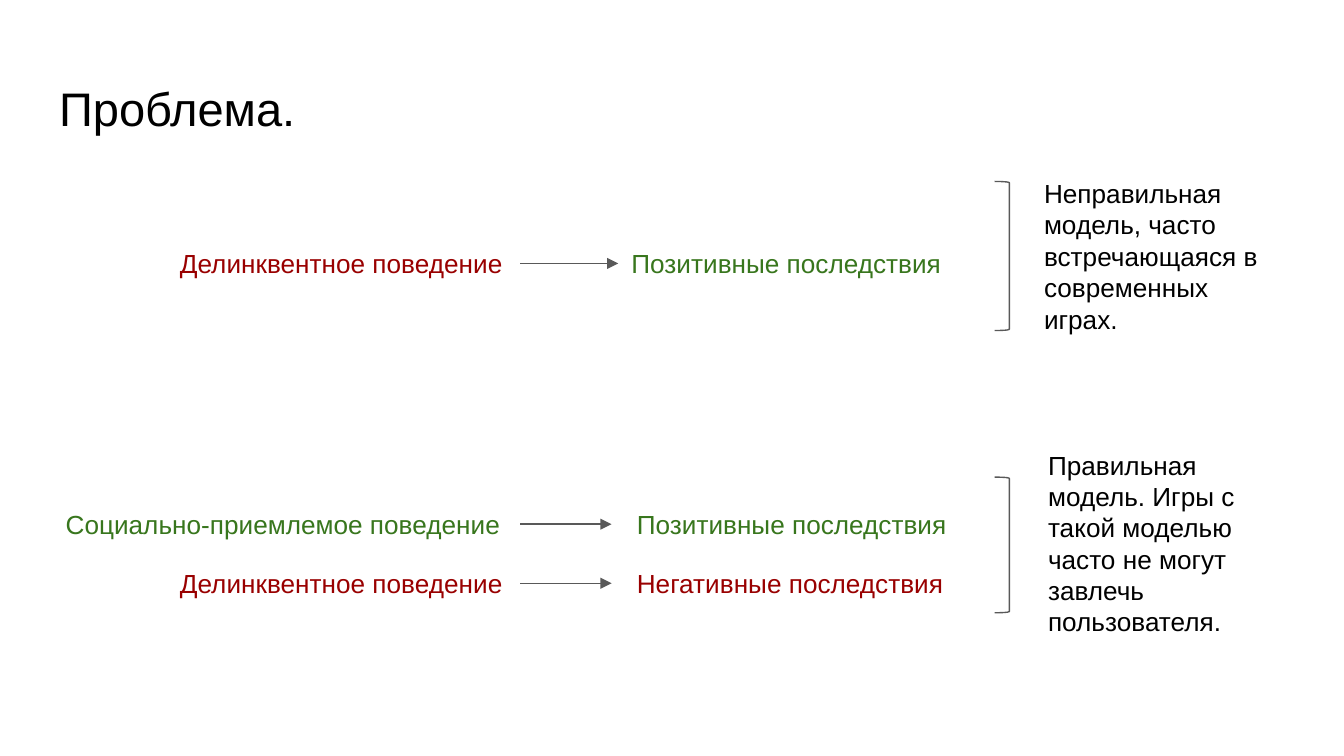
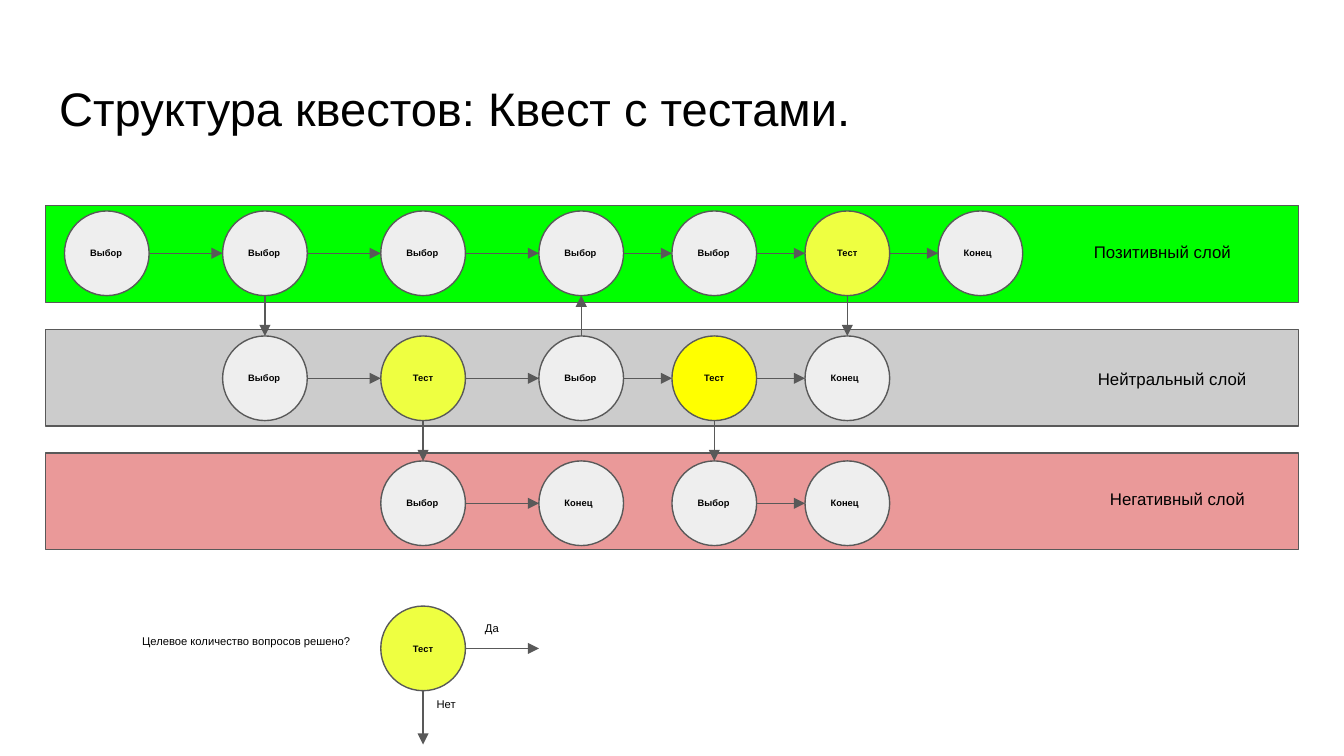
from lxml import etree
from pptx import Presentation
from pptx.dml.color import RGBColor
from pptx.enum import shapes, text
from pptx.oxml import ns
from pptx.util import Inches, Pt

FONT = "Arial"
COLORS = {
    "text": "000000", "line": "595959", "bad": "990000", "good": "38761D",
    "positive": "00FF00", "neutral": "CCCCCC", "negative": "EA9999",
    "node": "EEEEEE", "test": "EEFF41", "bright test": "FFFF00",
}

PROBLEM_TITLE = "Проблема."
BEHAVIOURS = [
    ("Делинквентное поведение", "bad", 1.24, 1.74, 2.63),
    ("Социально-приемлемое поведение", "good", 0.39, 3.68, 3.51),
    ("Делинквентное поведение", "bad", 1.24, 4.12, 2.63),
]
CONSEQUENCES = [
    ("Позитивные последствия", "good", 4.6, 1.74, 4.6),
    ("Позитивные последствия", "good", 4.64, 3.68, 4.55),
    ("Негативные последствия", "bad", 4.64, 4.12, 4.55),
]
MODELS = [
    ("Неправильная модель, часто встречающаяся в современных играх.",
     (7.67, 1.22, 2, 1.38), (7.4, 1.35, 0.11, 1.11)),
    ("Правильная модель. Игры с такой моделью часто не могут завлечь пользователя.",
     (7.7, 3.24, 2, 1.62), (7.4, 3.55, 0.11, 1.01)),
]

QUEST_TITLE = "Структура квестов: Квест с тестами."
CHOICE, TEST, END = "Выбор", "Тест", "Конец"
LAYERS = [
    ("Позитивный слой", "positive", (8.04, 1.72), 0,
     [CHOICE, CHOICE, CHOICE, CHOICE, CHOICE, TEST, END]),
    ("Нейтральный слой", "neutral", (8.07, 2.67), 1,
     [CHOICE, TEST, CHOICE, TEST, END]),
    ("Негативный слой", "negative", (8.16, 3.56), 2,
     [CHOICE, END, CHOICE, END]),
]
LAYER_CHANGES = [(1, 0, 1), (5, 0, 1), (2, 1, 2), (4, 1, 2), (3, 1, 0)]
BRIGHT_TEST = (1, 4)
LEGEND = [
    ("Целевое количество вопросов решено?", (0.96, 4.67, 1.83, 0.3)),
    ("Да", (3.51, 4.57, 0.31, 0.3)),
    ("Нет", (3.15, 5.14, 0.41, 0.3)),
]

NODE_SIZE = 0.63
COLUMNS = [0.48 + 3.53 * i / 3 for i in range(4)] + [5 + 0.99 * i for i in range(3)]
ROWS = [1.57 + 0.93 * i for i in range(3)]
LEGEND_TOP = 4.51


def color(name):
    return RGBColor.from_string(COLORS[name])


def inches(box):
    return [Inches(length) for length in box]


def write(shape, content, size, ink="text", bold=False, centered=False, middle=False):
    frame = shape.text_frame
    frame.word_wrap = True
    frame.margin_left = frame.margin_right = Inches(0.1)
    frame.margin_top = frame.margin_bottom = Inches(0.1)
    frame.vertical_anchor = text.MSO_ANCHOR.MIDDLE if middle else text.MSO_ANCHOR.TOP
    paragraph = frame.paragraphs[0]
    paragraph.alignment = text.PP_ALIGN.CENTER if centered else text.PP_ALIGN.LEFT
    run = paragraph.add_run()
    run.text = content
    run.font.name = FONT
    run.font.size = Pt(size)
    run.font.bold = bold
    run.font.color.rgb = color(ink)


def add_titled_slide(presentation, title):
    slide = presentation.slides.add_slide(presentation.slide_layouts[5])
    shape = slide.shapes.title
    shape.left, shape.top, shape.width, shape.height = inches((0.34, 0.49, 9.32, 0.63))
    write(shape, title, 25.2)
    shape.text_frame.auto_size = text.MSO_AUTO_SIZE.NONE
    return slide


def add_label(slide, content, box, size, ink="text"):
    shape = slide.shapes.add_textbox(*inches(box))
    write(shape, content, size, ink)
    shape.text_frame.auto_size = text.MSO_AUTO_SIZE.SHAPE_TO_FIT_TEXT


def add_outlined(slide, kind, box, fill=None):
    shape = slide.shapes.add_shape(kind, *inches(box))
    shape.shadow.inherit = False
    if fill:
        shape.fill.solid()
        shape.fill.fore_color.rgb = color(fill)
    else:
        shape.fill.background()
    shape.line.color.rgb = color("line")
    shape.line.width = Pt(0.75)
    return shape


def add_arrow(slide, start, end):
    connector = slide.shapes.add_connector(
        shapes.MSO_CONNECTOR.STRAIGHT, *inches((*start, *end)))
    connector.line.color.rgb = color("line")
    connector.line.width = Pt(0.75)
    properties = connector._element.spPr
    line = properties.find(ns.qn("a:ln"))
    etree.SubElement(line, ns.qn("a:tailEnd"), type="triangle")
    etree.SubElement(properties, ns.qn("a:effectLst"))


def add_node(slide, name, left, top, fill):
    box = (left, top, NODE_SIZE, NODE_SIZE)
    shape = add_outlined(slide, shapes.MSO_SHAPE.OVAL, box, fill)
    write(shape, name, 5, bold=True, centered=name == TEST, middle=True)


def build_problem(presentation):
    slide = add_titled_slide(presentation, PROBLEM_TITLE)
    for behaviour, consequence in zip(BEHAVIOURS, CONSEQUENCES):
        content, ink, left, top, width = behaviour
        add_label(slide, content, (left, top, width, 0.44), 14, ink)
        content, ink, left, top, arrow_end = consequence
        add_label(slide, content, (left, top, 2.63, 0.44), 14, ink)
        add_arrow(slide, (3.87, top + 0.22), (arrow_end, top + 0.22))
    for content, box, bracket_box in MODELS:
        bracket = add_outlined(slide, shapes.MSO_SHAPE.RIGHT_BRACKET, bracket_box)
        bracket.adjustments[0] = 0.08
        add_label(slide, content, box, 14)


def build_quest(presentation):
    slide = add_titled_slide(presentation, QUEST_TITLE)
    radius = NODE_SIZE / 2
    for row, (label, fill, place, first, names) in enumerate(LAYERS):
        band = (0.34, 1.53 + 0.92 * row, 9.32, 0.72)
        add_outlined(slide, shapes.MSO_SHAPE.RECTANGLE, band, fill)
        top = ROWS[row]
        for column, name in enumerate(names, first):
            left = COLUMNS[column]
            node_fill = "test" if name == TEST else "node"
            if (row, column) == BRIGHT_TEST:
                node_fill = "bright test"
            add_node(slide, name, left, top, node_fill)
            if name != END:
                add_arrow(slide, (left + NODE_SIZE, top + radius),
                          (COLUMNS[column + 1], top + radius))
        add_label(slide, label, (*place, 1.32, 0.35), 9)

    for column, source, target in LAYER_CHANGES:
        center = COLUMNS[column] + radius
        start, end = ROWS[source], ROWS[target]
        if target > source:
            start += NODE_SIZE
        else:
            end += NODE_SIZE
        add_arrow(slide, (center, start), (center, end))

    left = COLUMNS[2]
    bottom = LEGEND_TOP + NODE_SIZE
    add_node(slide, TEST, left, LEGEND_TOP, "test")
    add_arrow(slide, (left + NODE_SIZE, LEGEND_TOP + radius),
              (COLUMNS[3], LEGEND_TOP + radius))
    add_arrow(slide, (left + radius, bottom), (left + radius, bottom + 0.4))
    for content, box in LEGEND:
        add_label(slide, content, box, 6)


def main():
    presentation = Presentation()
    presentation.slide_width = Inches(10)
    presentation.slide_height = presentation.slide_width * 9 // 16
    build_problem(presentation)
    build_quest(presentation)
    presentation.save("out.pptx")


if __name__ == "__main__":
    main()
